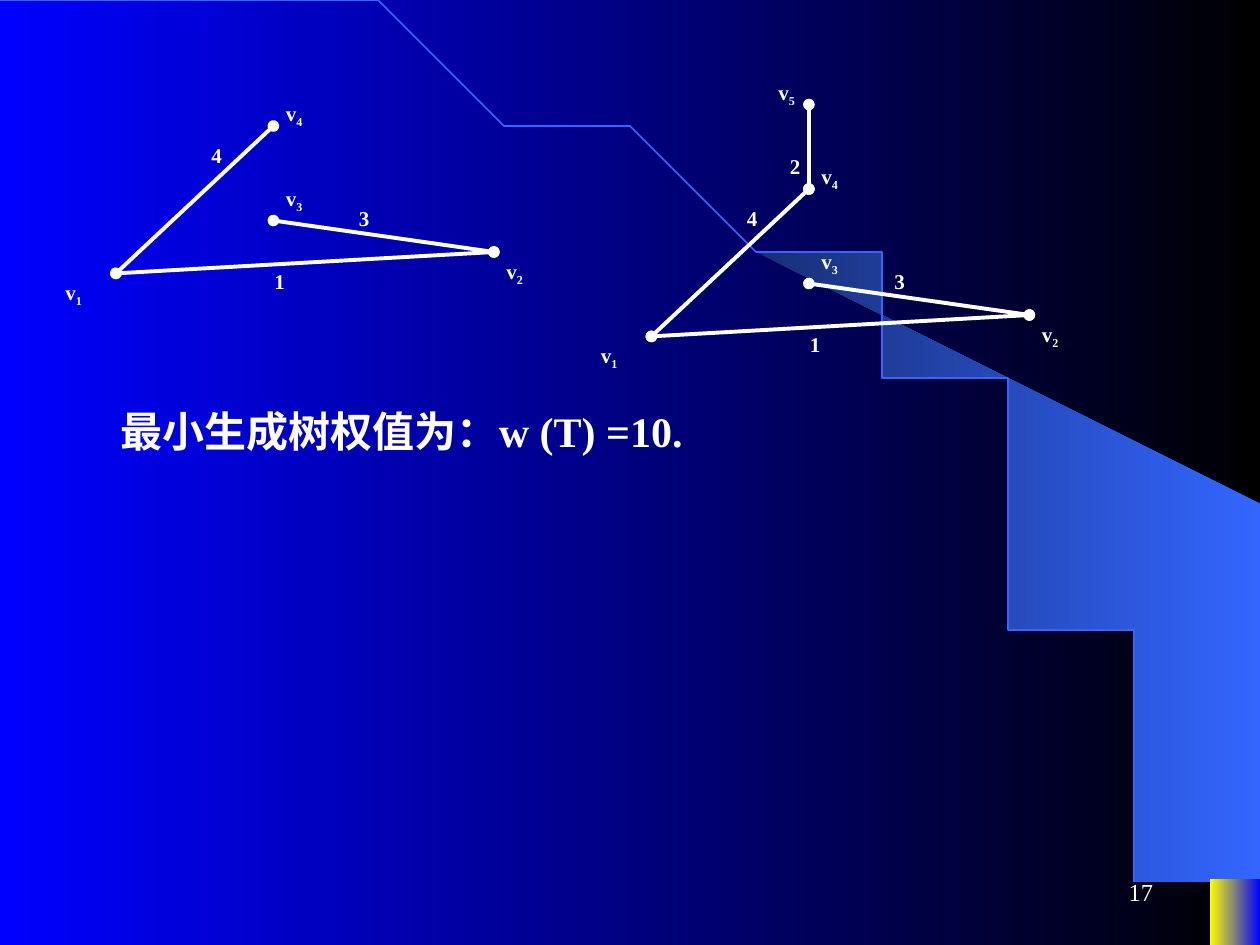
"""Builds the slide on the weight of a minimum spanning tree."""
from math import asin, cos, pi, sin

from lxml.etree import SubElement
from pptx import Presentation
from pptx.dml.color import RGBColor
from pptx.enum.shapes import MSO_CONNECTOR, MSO_SHAPE
from pptx.enum.text import MSO_ANCHOR, PP_ALIGN
from pptx.oxml.ns import qn
from pptx.util import Inches, Pt

WHITE = RGBColor(0xFF, 0xFF, 0xFF)
BLACK = RGBColor(0, 0, 0)
BLUE = RGBColor(0, 0, 0xFF)
NAVY = RGBColor(0x18, 0x2F, 0x76)
SKY = RGBColor(0x33, 0x66, 0xFF)
YELLOW = RGBColor(0xFF, 0xFF, 0)
FONT = "Times New Roman"
W, H = 10, 7.5
ARC_W, ARC_H = 9.2, 7.49
SWOOSH_X, SWOOSH_RIGHT, SWOOSH_Y = 5.89, 9.99, 4.23

VERTICES = {"1": (0.92, 2.17), "2": (3.92, 2), "3": (2.17, 1.75),
            "4": (2.17, 1), "5": (2.17, 0.33)}
LABEL_OFFSETS = {"1": (-0.5, 0), "2": (0, 0), "3": (0, -0.33),
                 "4": (0, -0.25), "5": (-0.34, -0.25)}
EDGES = [("1", "2", "1", (2.08, 2.08)), ("4", "1", "4", (1.58, 1.08)),
         ("3", "2", "3", (2.75, 1.58))]
LAST_EDGE = ("5", "4", "2", (1.92, 0.67))
TREES = [((0, 0), "1234", EDGES), ((4.25, 0.5), "12345", EDGES + [LAST_EDGE])]
RESULT = "最小生成树权值为：w (T) =10."
PAGE = "17"


def set_gradient(fill, *colors):
    fill.gradient()
    fill.gradient_angle = 0
    for stop, color in zip(fill.gradient_stops, colors):
        stop.color.rgb = color


def arc_points(x_start, steps=60):
    a = asin(x_start / ARC_W)
    angles = [a + (pi / 2 - a) * i / steps for i in range(steps + 1)]
    return [(ARC_W * sin(t), ARC_H * (1 - cos(t))) for t in angles]


def add_outline(s, points, close):
    (x, y), *rest = points
    builder = s.shapes.build_freeform(x, y, scale=Inches(1))
    builder.add_line_segments(rest, close=close)
    sp = builder.convert_to_shape()
    sp.shadow.inherit = False
    return sp


def add_text(s, box, runs, size, bold=True):
    tb = s.shapes.add_textbox(*map(Inches, box))
    tf = tb.text_frame
    tf.word_wrap = True
    p = tf.paragraphs[0]
    p.font.name, p.font.size, p.font.bold = FONT, Pt(size), bold
    p.font.color.rgb = WHITE
    for text in runs:
        p.add_run().text = text
    return tf


def add_edge(s, start, end):
    line = s.shapes.add_connector(MSO_CONNECTOR.STRAIGHT, *map(Inches, start + end))
    line.line.color.rgb = WHITE
    line.line.width = Pt(2.25)
    ln = line.line._get_or_add_ln()
    for tag in ("a:headEnd", "a:tailEnd"):
        SubElement(ln, qn(tag), type="oval")
    SubElement(line._element.spPr, qn("a:effectLst"))


def add_tree(s, origin, names, edges):
    def place(point):
        return tuple(o + c for o, c in zip(origin, point))

    for a, b, _, _ in edges:
        add_edge(s, place(VERTICES[a]), place(VERTICES[b]))
    for _, _, weight, point in edges:
        add_text(s, (*place(point), 0.35, 0.3), [weight], 12)
    for name in names:
        corner = [v + d for v, d in zip(VERTICES[name], LABEL_OFFSETS[name])]
        tf = add_text(s, (*place(corner), 0.52, 0.33), ["v", name], 12)
        tf.paragraphs[0].runs[1].font._element.set("baseline", "-25000")


def add_decor(s):
    set_gradient(s.background.fill, BLUE, BLACK)
    corners = [(SWOOSH_RIGHT, ARC_H), (SWOOSH_RIGHT, SWOOSH_Y)]
    swoosh = add_outline(s, arc_points(SWOOSH_X) + corners, True)
    set_gradient(swoosh.fill, NAVY, SKY)
    swoosh.line.fill.background()
    arc = add_outline(s, arc_points(0), False)
    arc.fill.background()
    arc.line.color.rgb = SKY
    arc.line.width = Pt(1)
    box = s.shapes.add_shape(MSO_SHAPE.RECTANGLE,
                             *map(Inches, (W - 0.4, H - 0.52, 0.4, 0.52)))
    box.shadow.inherit = False
    set_gradient(box.fill, YELLOW, BLUE)
    box.line.fill.background()


def main():
    prs = Presentation()
    prs.slide_width, prs.slide_height = Inches(W), Inches(H)
    s = prs.slides.add_slide(prs.slide_layouts[6])
    add_decor(s)
    tf = add_text(s, (7.17, 6.83, 2.08, 0.5), [PAGE], 14, bold=False)
    tf.vertical_anchor = MSO_ANCHOR.MIDDLE
    tf.paragraphs[0].alignment = PP_ALIGN.RIGHT
    for origin, names, edges in TREES:
        add_tree(s, origin, names, edges)
    tf = add_text(s, (0.42, 3.17, 8.25, 0.5), [RESULT], 24)
    tf.paragraphs[0]._p.get_or_add_pPr().set("marL", str(Inches(0.44)))
    prs.save("out.pptx")


if __name__ == "__main__":
    main()
